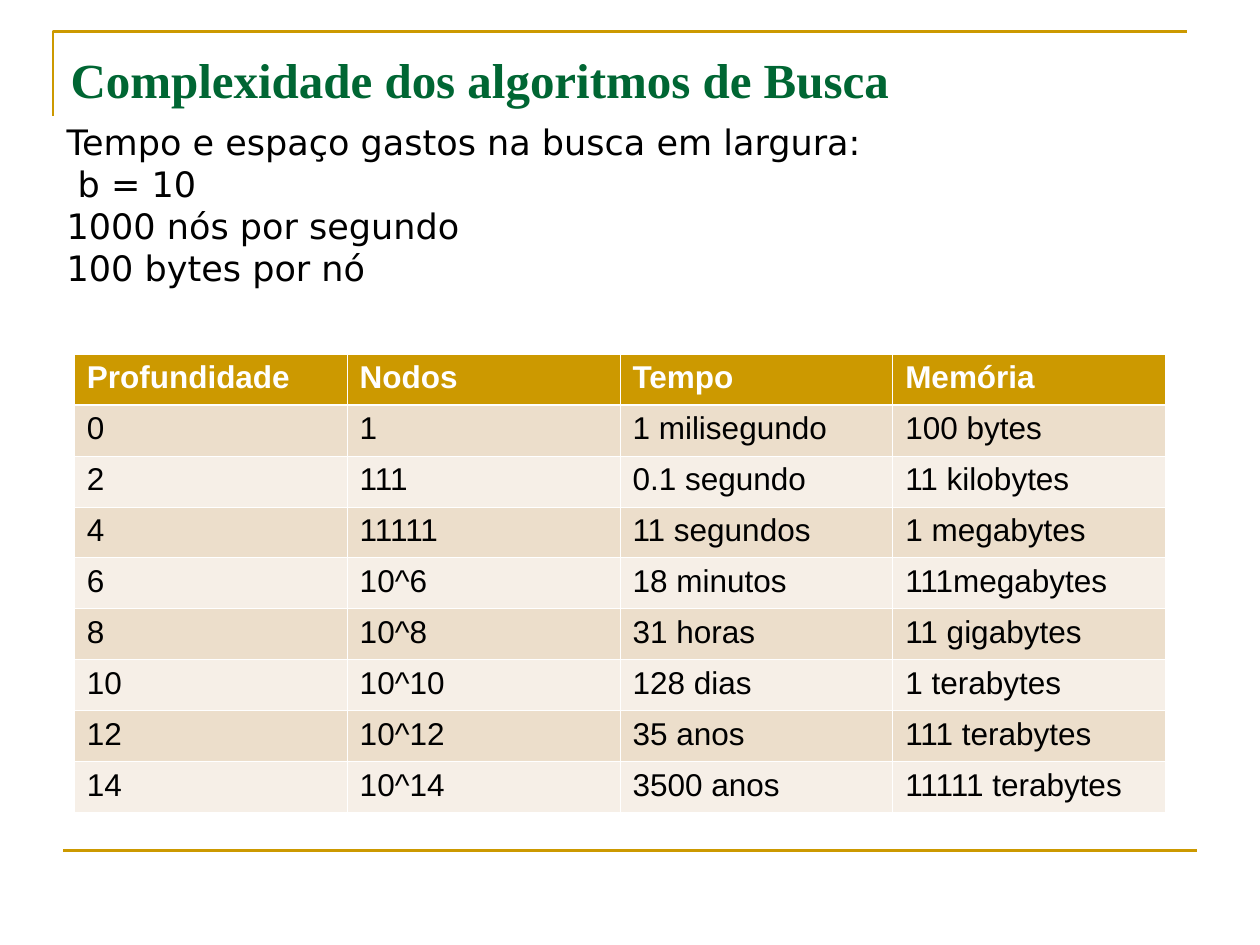
import pptx
import pptx.dml.color
import pptx.enum.shapes
import pptx.enum.text
import pptx.oxml
import pptx.oxml.ns
import pptx.util
from pptx.util import Inches

GOLD, WHITE, BLACK = "CC9900", "FFFFFF", "000000"


def color(value):
    return pptx.dml.color.RGBColor.from_string(value)


def set_font(font, name, size, value, bold=False):
    font.name = name
    font.size = pptx.util.Pt(size)
    font.color.rgb = color(value)
    font.bold = bold


presentation = pptx.Presentation()
presentation.slide_width = Inches(10)
presentation.slide_height = Inches(7.5)
slide = presentation.slides.add_slide(presentation.slide_layouts[5])

# Corner rule around the title
builder = slide.shapes.build_freeform(Inches(0.42), Inches(0.92))
builder.add_line_segments(
    [(Inches(0.42), Inches(0.25)), (Inches(9.42), Inches(0.25))], close=False)
corner = builder.convert_to_shape()
corner.shadow.inherit = False
corner.fill.background()

# Bottom rule
bottom_rule = slide.shapes.add_connector(
    pptx.enum.shapes.MSO_CONNECTOR.STRAIGHT,
    Inches(0.5), Inches(6.75), Inches(9.5), Inches(6.75))
bottom_rule._element.spPr.append(pptx.oxml.parse_xml(
    f"<a:effectLst {pptx.oxml.ns.nsdecls('a')}/>"))

for rule in (corner, bottom_rule):
    rule.line.color.rgb = color(GOLD)
    rule.line.width = pptx.util.Pt(1.5)

# Title
title = slide.shapes.title
title.left, title.top = Inches(0.46), Inches(0.28)
title.width, title.height = Inches(9.34), Inches(0.79)
title.text_frame.text = "Complexidade dos algoritmos de Busca"
title.text_frame.auto_size = pptx.enum.text.MSO_AUTO_SIZE.NONE
title.text_frame.vertical_anchor = pptx.enum.text.MSO_ANCHOR.TOP
title.text_frame.margin_top = Inches(0.11)
paragraph = title.text_frame.paragraphs[0]
paragraph.alignment = pptx.enum.text.PP_ALIGN.LEFT
set_font(paragraph.font, "Times New Roman", 28, "006633", bold=True)

# Assumptions
assumptions = slide.shapes.add_textbox(
    Inches(0.43), Inches(0.91), Inches(8.82), Inches(1.44))
assumptions.text_frame.word_wrap = True
assumptions.text_frame.text = "\n".join([
    "Tempo e espaço gastos na busca em largura:",
    " b = 10",
    "1000 nós por segundo",
    "100 bytes por nó",
])
for paragraph in assumptions.text_frame.paragraphs:
    set_font(paragraph.font, "DejaVu Sans", 20, BLACK)

# Cost table
rows = [
    ("Profundidade", "Nodos", "Tempo", "Memória"),
    ("0", "1", "1 milisegundo", "100 bytes"),
    ("2", "111", "0.1 segundo", "11 kilobytes"),
    ("4", "11111", "11 segundos", "1 megabytes"),
    ("6", "10^6", "18 minutos", "111megabytes"),
    ("8", "10^8", "31 horas", "11 gigabytes"),
    ("10", "10^10", "128 dias", "1 terabytes"),
    ("12", "10^12", "35 anos", "111 terabytes"),
    ("14", "10^14", "3500 anos", "11111 terabytes"),
]
table = slide.shapes.add_table(
    len(rows), len(rows[0]),
    Inches(0.59), Inches(2.81), Inches(8.66), Inches(3.64)).table

for row_index, row in enumerate(rows):
    is_header = row_index == 0
    fill = GOLD if is_header else ("F6EFE7", "ECDECB")[row_index % 2]
    for column_index, text in enumerate(row):
        cell = table.cell(row_index, column_index)
        cell.text = text
        set_font(cell.text_frame.paragraphs[0].font, "Arial", 18,
                 WHITE if is_header else BLACK, bold=is_header)
        # White borders, thicker between header and body
        for side in "LRTB":
            thick = (row_index, side) in ((0, "B"), (1, "T"))
            width = pptx.util.Pt(1.47 if thick else 0.45)
            cell._tc.get_or_add_tcPr().append(pptx.oxml.parse_xml(
                f'<a:ln{side} {pptx.oxml.ns.nsdecls("a")} w="{width}">'
                f'<a:solidFill><a:srgbClr val="{WHITE}"/></a:solidFill>'
                f'</a:ln{side}>'))
        cell.fill.solid()
        cell.fill.fore_color.rgb = color(fill)

presentation.save("out.pptx")
